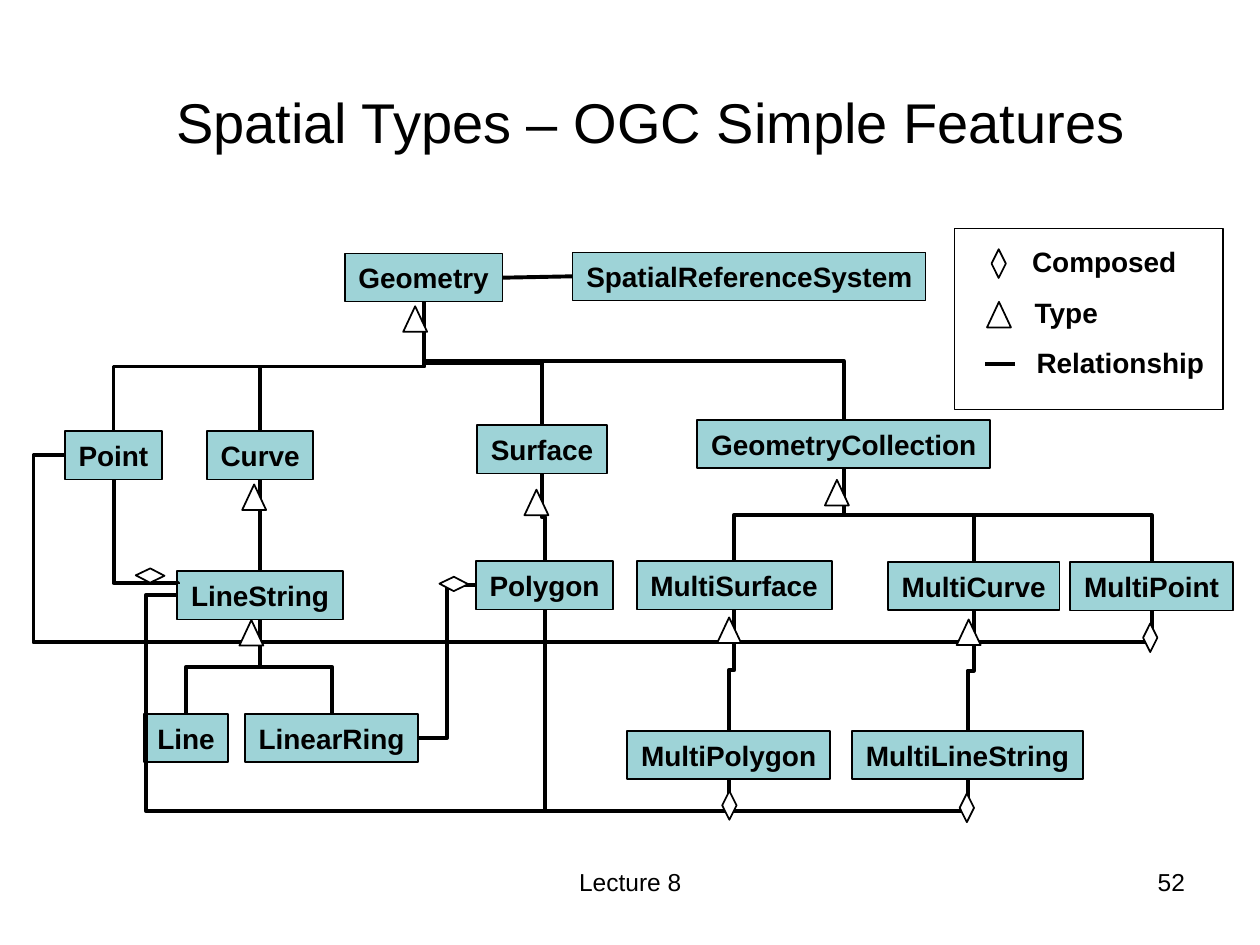
from lxml import etree
from pptx import Presentation
from pptx.dml.color import RGBColor
from pptx.enum.shapes import MSO_CONNECTOR, MSO_SHAPE
from pptx.enum.text import MSO_ANCHOR, PP_ALIGN
from pptx.oxml.ns import qn
from pptx.util import Pt

RECT, TRI, DIAM = MSO_SHAPE.RECTANGLE, MSO_SHAPE.ISOSCELES_TRIANGLE, MSO_SHAPE.FLOWCHART_DECISION
ELBOW, LINE = MSO_CONNECTOR.ELBOW, MSO_CONNECTOR.STRAIGHT
LEFT, MID, RIGHT = PP_ALIGN.LEFT, PP_ALIGN.CENTER, PP_ALIGN.RIGHT
CENTER, TOP = MSO_ANCHOR.MIDDLE, MSO_ANCHOR.TOP
BLACK = RGBColor(0, 0, 0)
WHITE = RGBColor(255, 255, 255)
TEAL = RGBColor(0x9E, 0xD3, 0xD7)
FONT = "Arial"
N, W, S, E = range(4)
HIGH = 27.6

TITLE = "Spatial Types – OGC Simple Features"
BOXES = {
    "Geometry": (197.2, 144.9, 89.8),
    "SpatialReferenceSystem": (327.3, 144.1, 201.8),
    "Point": (37.2, 246.4, 55.3),
    "Curve": (118.4, 246.4, 60.6),
    "Surface": (272.6, 243, 74.2),
    "GeometryCollection": (398.4, 240, 167.5),
    "LineString": (101.3, 326.4, 94.6),
    "Polygon": (272, 320.7, 78.4),
    "MultiSurface": (363.8, 320.7, 111.5),
    "MultiCurve": (507.4, 321, 98),
    "MultiPoint": (611.6, 321.3, 93),
    "Line": (82.4, 408, 47.9),
    "LinearRing": (140, 408, 99),
    "MultiPolygon": (358.4, 417.8, 116),
    "MultiLineString": (486.8, 417.8, 132.2),
}
TREE = {
    "Geometry": ["Point", "Curve", "Surface", "GeometryCollection"],
    "Curve": ["LineString"],
    "Surface": ["Polygon"],
    "LineString": ["Line", "LinearRing"],
    "GeometryCollection": ["MultiSurface", "MultiCurve", "MultiPoint"],
    "MultiSurface": ["MultiPolygon"],
    "MultiCurve": ["MultiLineString"],
}
PARTS = [
    ("LinearRing", E, "Polygon", W, [0.5]),
    ("Polygon", S, "MultiPolygon", S, [1.186]),
    ("Point", W, "MultiPoint", S, [-0.029, 1.204]),
    ("LineString", W, "MultiLineString", S, [-0.04, 1.171]),
]
JOINT = (101.5, 333.6)
TRIS = [(230.4, 175), (138.4, 276.8), (299.7, 279.8), (471.4, 274.2),
        (136.8, 354.3), (409.8, 352.8), (546.7, 354)]
DIAMS = [(412.7, 452), (548.4, 453.4), (653.2, 356.2)]
TURNED = [(81.7, 320.7), (255.2, 325.5)]
KEYS = [("Composed", 582.7, 136), ("Type", 584.2, 165), ("Relationship", 585.2, 193.7)]
FEET = [("Lecture 8", 246.2, 228, MID), ("52", 516.2, 168, RIGHT)]

prs = Presentation()
prs.slide_width, prs.slide_height = Pt(720), Pt(540)
slide = prs.slides.add_slide(prs.slide_layouts[5])
shapes = slide.shapes


def style(frame, text, size, bold, align, anchor, wrap):
    frame.text = text
    frame.word_wrap = wrap
    frame.vertical_anchor = anchor
    para = frame.paragraphs[0]
    para.alignment = align
    font = para.runs[0].font
    font.name, font.size, font.bold = FONT, Pt(size), bold
    font.color.rgb = BLACK


def draw(kind, x, y, w, h, fill=WHITE, line=1):
    shape = shapes.add_shape(kind, Pt(x), Pt(y), Pt(w), Pt(h))
    shape.shadow.inherit = False
    if fill is None:
        shape.fill.background()
    else:
        shape.fill.solid()
        shape.fill.fore_color.rgb = fill
    shape.line.color.rgb = BLACK
    shape.line.width = Pt(line)
    return shape


def label(text, x, y, w, h, size, bold, align, anchor=TOP, wrap=True):
    box = shapes.add_textbox(Pt(x), Pt(y), Pt(w), Pt(h))
    style(box.text_frame, text, size, bold, align, anchor, wrap)


def wire(kind, start, end):
    link = shapes.add_connector(kind, *(Pt(v) for v in start + end))
    link.line.color.rgb = BLACK
    link.line.width = Pt(2.25)
    etree.SubElement(link._element.spPr, qn("a:effectLst"))
    return link


def port(name, side):
    x, y, w = BOXES[name]
    return [(x + w / 2, y), (x, y + HIGH / 2),
            (x + w / 2, y + HIGH), (x + w, y + HIGH / 2)][side]


def bend(name, side, goal, gside, adjs):
    start = port(name, side)
    end = goal if gside is None else port(goal, gside)
    link = wire(ELBOW, start, end)
    link.begin_connect(nodes[name], side)
    if gside is not None:
        link.end_connect(nodes[goal], gside)
    props = link._element.spPr
    if side == S:
        (x1, y1), (x2, y2) = start, end
        wide, tall = abs(y2 - y1), abs(x2 - x1)
        link.left, link.top = Pt((x1 + x2 - wide) / 2), Pt((y1 + y2 - tall) / 2)
        link.width, link.height = Pt(wide), Pt(tall)
        right = x2 > x1
        form = props.find(qn("a:xfrm"))
        form.set("rot", "16200000" if right else "5400000")
        form.set("flipH", "1" if right else "0")
    geom = props.find(qn("a:prstGeom"))
    geom.set("prst", f"bentConnector{len(adjs) + 2}")
    guides = geom.find(qn("a:avLst"))
    if guides is None:
        guides = etree.SubElement(geom, qn("a:avLst"))
    for i, adj in enumerate(adjs, 1):
        etree.SubElement(guides, qn("a:gd"), name=f"adj{i}",
                         fmla=f"val {round(adj * 100000)}")


title = shapes.title
title.left, title.top, title.width, title.height = Pt(66), Pt(24), Pt(612), Pt(90)
style(title.text_frame, TITLE, 32, False, MID, CENTER, True)

nodes = {}
for name, (x, y, w) in BOXES.items():
    nodes[name] = draw(RECT, x, y, w, HIGH, TEAL, 0.75 if y < 150 else 1)
    style(nodes[name].text_frame, name, 16, True, MID, CENTER, False)

ref = wire(LINE, port("SpatialReferenceSystem", W), port("Geometry", E))
ref.begin_connect(nodes["SpatialReferenceSystem"], W)
ref.end_connect(nodes["Geometry"], E)
for base, kids in TREE.items():
    for kid in kids:
        bend(base, S, kid, N, [0.5])
for part in PARTS:
    bend(*part)
bend("Point", S, JOINT, None, [0.994])

draw(RECT, 545.5, 130.5, 153.5, 103.5, None)
for text, x, y in KEYS:
    label(text, x, y, 110, 26.6, 16, True, LEFT, CENTER, False)
wire(LINE, (563, 207.8), (580.3, 207.8))

for x, y in TRIS + [(564, 172.5)]:
    draw(TRI, x, y, 13.7, 14.6)
for x, y in DIAMS + [(566.6, 142.4)]:
    draw(DIAM, x, y, 8.2, 16.4)
for x, y in TURNED:
    draw(DIAM, x, y, 8.2, 16.4).rotation = 90.9
for text, x, w, align in FEET:
    label(text, x, 492, w, 37.5, 14, False, align)

prs.save("out.pptx")
